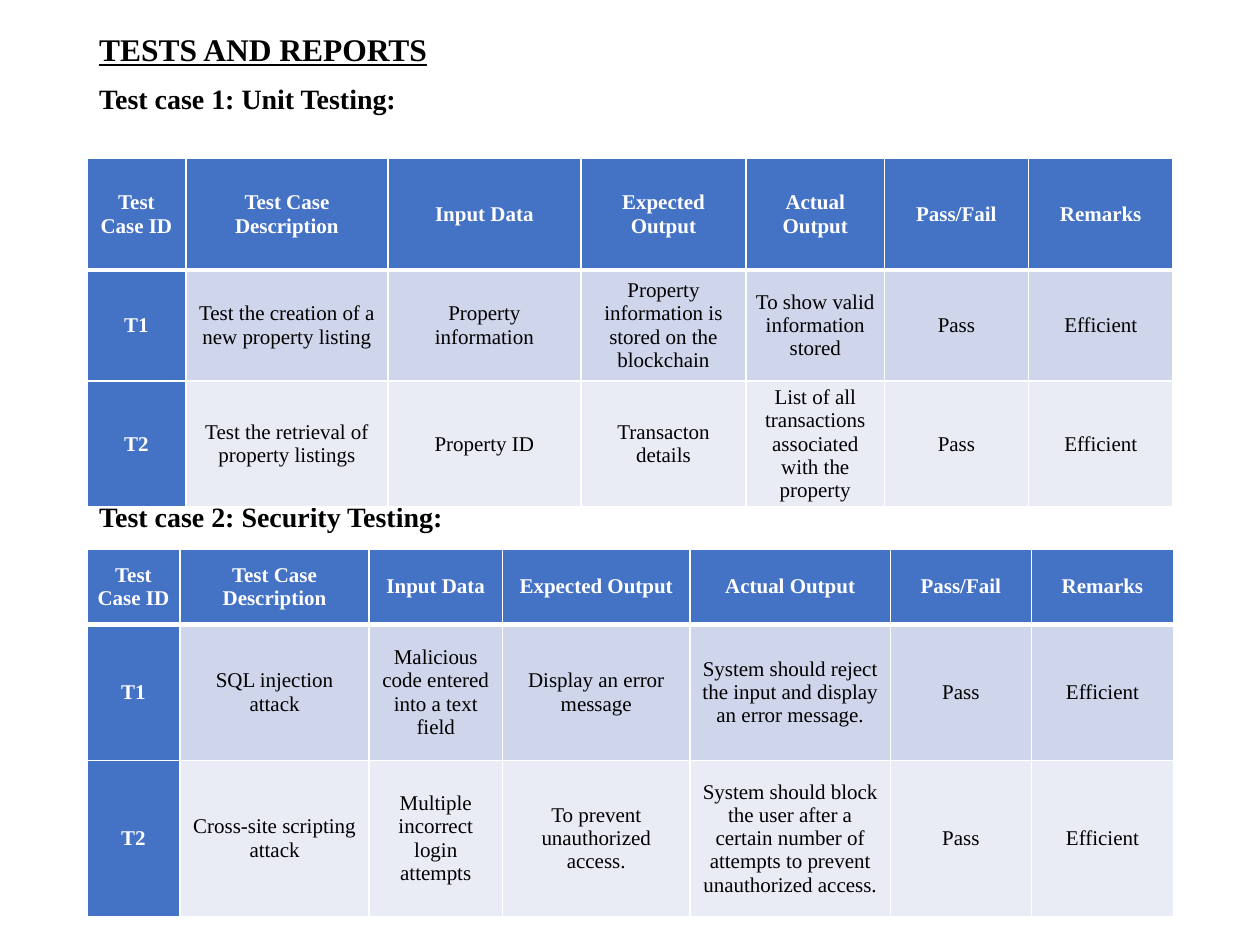
"""Build the "Tests and reports" slide with two test case tables."""
import lxml.etree
import pptx
import pptx.dml.color
import pptx.enum.text
import pptx.oxml.ns
import pptx.util

Cm, Pt = pptx.util.Cm, pptx.util.Pt
FONT = "Times New Roman"
LEFT = 1.75
HEADER_FILL = "4472C4"
ROW_FILLS = [HEADER_FILL, "CFD5EA", "E9EBF5"]
HEADER = ["Test Case ID", "Test Case Description", "Input Data", "Expected Output",
          "Actual Output", "Pass/Fail", "Remarks"]


def style_run(r, size, color, bold):
    r.font.name = FONT
    r.font.size = Pt(size)
    r.font.bold = bold
    r.font.color.rgb = pptx.dml.color.RGBColor.from_string(color)


def add_border(tc_pr, index, side, width):
    ln = lxml.etree.Element(pptx.oxml.ns.qn(f"a:ln{side}"), w=str(Pt(width)))
    fill = lxml.etree.SubElement(ln, pptx.oxml.ns.qn("a:solidFill"))
    lxml.etree.SubElement(fill, pptx.oxml.ns.qn("a:srgbClr"), val="FFFFFF")
    tc_pr.insert(index, ln)


prs = pptx.Presentation()
prs.slide_width = Cm(25.4)
prs.slide_height = Cm(19.05)
s = prs.slides.add_slide(prs.slide_layouts[6])

headings = [
    (0.56, 2.5, [("TESTS AND REPORTS", 18, True), ("Test case 1: Unit Testing:", 16, False)]),
    (10.03, 1, [("Test case 2: Security Testing:", 16, False)]),
]
for top, height, lines in headings:
    tf = s.shapes.add_textbox(Cm(LEFT), Cm(top), Cm(21.92), Cm(height)).text_frame
    tf.word_wrap = True
    tf.text = "\n".join(text for text, size, underline in lines)
    for p, (text, size, underline) in zip(tf.paragraphs, lines):
        p.line_spacing = 0.9
        p.space_before = Pt(10)
        style_run(p.runs[0], size, "000000", True)
        p.runs[0].font.underline = underline

tables = [
    (3.2, [2, 4.07, 3.89, 3.33, 2.79, 2.9, 2.92], [2.24, 2.24, 2.24], [
        ["T1", "Test the creation of a new property listing", "Property information",
         "Property information is stored on the blockchain",
         "To show valid information stored", "Pass", "Efficient"],
        ["T2", "Test the retrieval of property listings", "Property ID", "Transacton details",
         "List of all transactions associated with the property", "Pass", "Efficient"],
    ]),
    (11.07, [1.88, 3.81, 2.69, 3.78, 4.04, 2.84, 2.87], [1.52, 2.74, 3.15], [
        ["T1", "SQL injection attack", "Malicious code entered into a text field",
         "Display an error message",
         "System should reject the input and display an error message.", "Pass", "Efficient"],
        ["T2", "Cross-site scripting attack", "Multiple incorrect login attempts",
         "To prevent unauthorized access.",
         "System should block the user after a certain number of attempts to prevent "
         "unauthorized access.", "Pass", "Efficient"],
    ]),
]
for top, widths, heights, body in tables:
    rows = [HEADER] + body
    table = s.shapes.add_table(len(rows), len(widths), Cm(LEFT), Cm(top),
                               Cm(sum(widths)), Cm(sum(heights))).table
    table.first_col = True
    for column, width in zip(table.columns, widths):
        column.width = Cm(width)
    for i, (row, height) in enumerate(zip(rows, heights)):
        table.rows[i].height = Cm(height)
        for j, text in enumerate(row):
            cell = table.cell(i, j)
            is_header = i == 0 or j == 0
            cell.text_frame.text = text
            cell.vertical_anchor = pptx.enum.text.MSO_ANCHOR.MIDDLE
            cell.margin_left = cell.margin_right = Cm(0.18)
            cell.margin_top = cell.margin_bottom = 0
            p = cell.text_frame.paragraphs[0]
            p.alignment = pptx.enum.text.PP_ALIGN.CENTER
            style_run(p.runs[0], 12, "FFFFFF" if is_header else "000000", is_header)
            cell.fill.solid()
            cell.fill.fore_color.rgb = pptx.dml.color.RGBColor.from_string(
                HEADER_FILL if is_header else ROW_FILLS[i])
            borders = {"L": 1, "R": 1, "T": 3 if i == 1 else 1, "B": 3 if i == 0 else 1}
            for k, (side, width) in enumerate(borders.items()):
                add_border(cell._tc.get_or_add_tcPr(), k, side, width)

prs.save("out.pptx")
